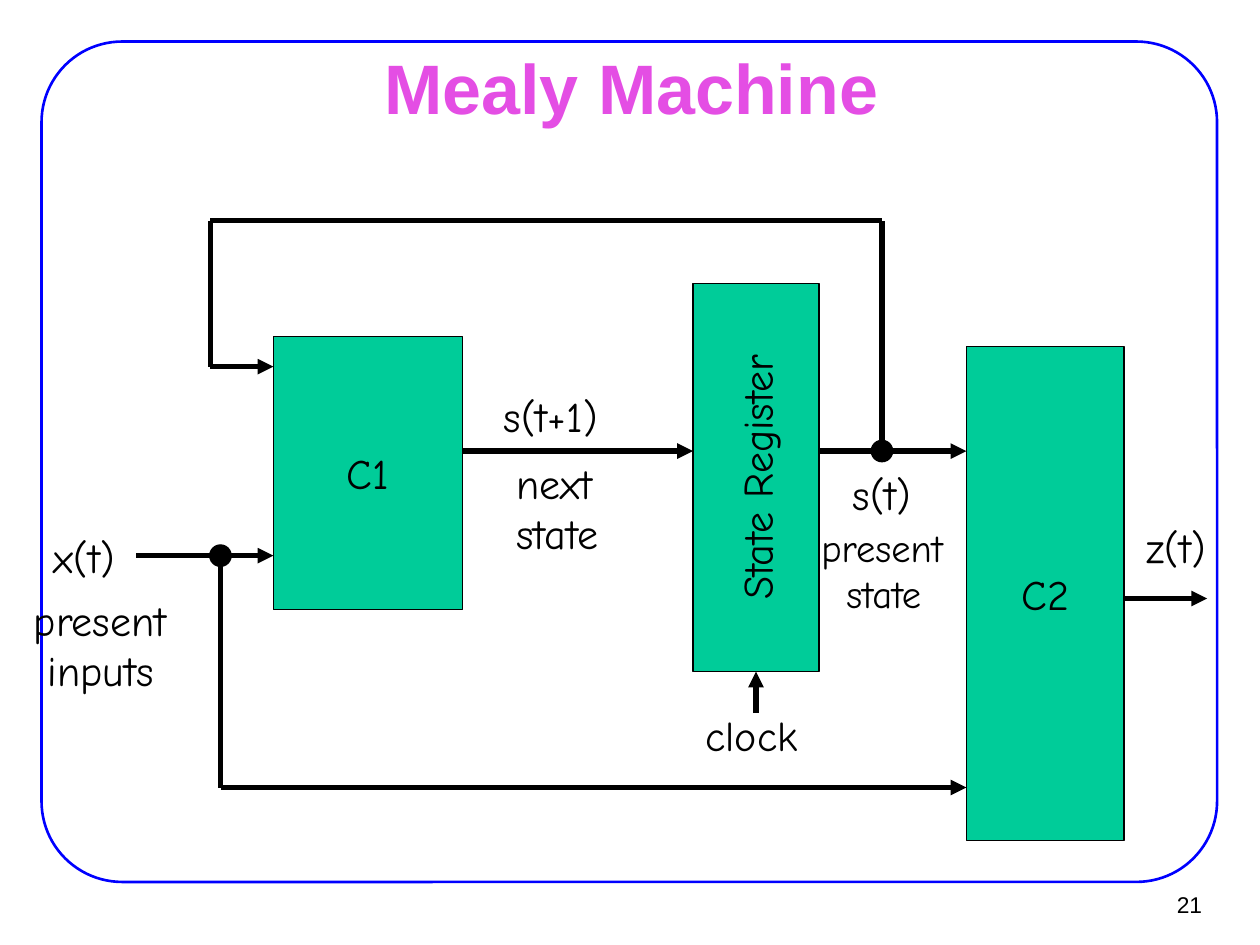
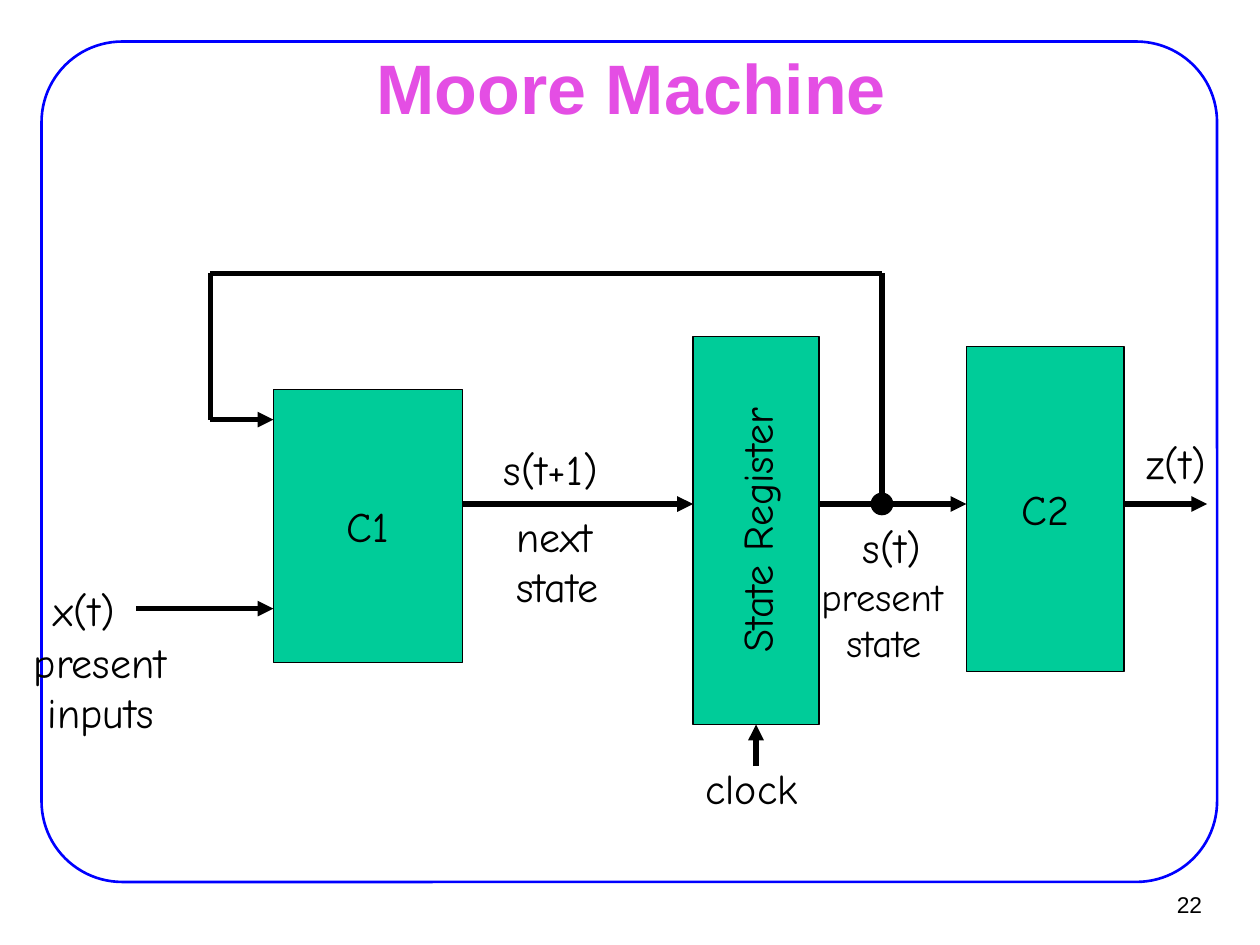
from pptx import Presentation
from pptx.dml.color import RGBColor
from pptx.enum.shapes import MSO_CONNECTOR, MSO_SHAPE
from pptx.enum.text import MSO_ANCHOR, MSO_AUTO_SIZE, PP_ALIGN
from pptx.oxml.ns import qn
from pptx.util import Inches, Pt
from lxml import etree

RECT, ROUND, OVAL = MSO_SHAPE.RECTANGLE, MSO_SHAPE.ROUNDED_RECTANGLE, MSO_SHAPE.OVAL
LEFT, MID, RIGHT = PP_ALIGN.LEFT, PP_ALIGN.CENTER, PP_ALIGN.RIGHT
GREEN, BLACK, BLUE, PINK = "00CC99", "000000", "0000FF", "E44EE4"
HAND, SANS = "Comic Neue", "Arial"

# What differs per slide: heights are absolute, axis is the state line.
# low is the second run of x(t) into C2, or None.
MACHINES = [
    dict(title="Mealy Machine", num="21", axis=3.58, c2=(2.75, 3.92), low=6.25,
         out=4.75, z=4.09, s=(6.67, 3.67), state=4.11, inputs=4.67),
    dict(title="Moore Machine", num="22", axis=4.0, c2=(2.75, 2.58), low=None,
         out=4.0, z=3.42, s=(6.75, 4.09), state=4.5, inputs=5.0),
]

# Shared columns, and offsets from the axis
C1_X, C1_W, REG_X, REG_W, C2_X, C2_W = 2.17, 1.5, 5.5, 1.0, 7.67, 1.25
C1_TOP, C1_H, REG_TOP, REG_H = -0.91, 2.17, -1.33, 3.08
IN_Y, BACK_Y, LOOP_Y = 0.83, -0.67, -1.83
IN_X, LOOP_X, FORK_X, TAP_X, OUT_X = 1.08, 1.67, 1.75, 7.0, 9.58
DOT = 0.17


def color(code):
    return RGBColor.from_string(code)


def write(shape, lines, size, font=HAND, tint=BLACK, bold=False, align=LEFT,
          wrap=False, indent=0):
    frame = shape.text_frame
    frame.text = "\n".join(lines)
    frame.word_wrap = wrap
    for para in frame.paragraphs:
        para.alignment = align
        face = para.runs[0].font
        face.size, face.name, face.bold = Pt(size), font, bold
        face.color.rgb = color(tint)
    if indent:
        props = frame.paragraphs[-1]._p.get_or_add_pPr()
        props.set("marL", str(Inches(indent)))
        props.set("indent", "0")
    return frame


def shape(slide, kind, box, fill=None, line=BLACK, width=0.75):
    item = slide.shapes.add_shape(kind, *map(Inches, box))
    item.shadow.inherit = False
    if fill:
        item.fill.solid()
        item.fill.fore_color.rgb = color(fill)
    else:
        item.fill.background()
    item.line.color.rgb = color(line)
    item.line.width = Pt(width)
    return item


def block(slide, name, box, turn=0):
    item = shape(slide, RECT, box, GREEN)
    item.rotation = turn
    write(item, [name], 24, align=MID).vertical_anchor = MSO_ANCHOR.MIDDLE


def label(slide, lines, box, size=24, indent=0):
    item = slide.shapes.add_textbox(*map(Inches, box))
    frame = write(item, lines, size, indent=indent)
    frame.auto_size = MSO_AUTO_SIZE.SHAPE_TO_FIT_TEXT


def wire(slide, points, arrow=True):
    """Straight lines through the points, with a head on the last one."""
    legs = list(zip(points, points[1:]))
    for start, end in legs:
        item = slide.shapes.add_connector(
            MSO_CONNECTOR.STRAIGHT, *map(Inches, start + end))
        item.line.color.rgb = color(BLACK)
        item.line.width = Pt(3)
        if arrow and (start, end) == legs[-1]:
            etree.SubElement(item.line._get_or_add_ln(), qn("a:tailEnd"),
                             type="triangle")
        etree.SubElement(item._element.spPr, qn("a:effectLst"))


def dot(slide, x, y):
    shape(slide, OVAL, (x - DOT / 2, y - DOT / 2, DOT, DOT), BLACK)


def base(slide, title, num):
    """Frame, slide number and title."""
    edge = shape(slide, ROUND, (0.33, 0.33, 9.33, 6.67), line=BLUE, width=1.5)
    edge.adjustments[0] = 0.096
    texts = [
        (num, (9.02, 6.99, 0.61, 0.37), (0.09, 0.04),
         dict(size=13, align=RIGHT)),
        (title, (0.76, 0.44, 8.5, 0.49), (0.11, 0.06),
         dict(size=40, tint=PINK, bold=True, align=MID, wrap=True)),
    ]
    for text, box, (side, end), look in texts:
        item = slide.shapes.add_textbox(*map(Inches, box))
        frame = write(item, [text], font=SANS, **look)
        frame.vertical_anchor = MSO_ANCHOR.MIDDLE
        frame.margin_left = frame.margin_right = Inches(side)
        frame.margin_top = frame.margin_bottom = Inches(end)


def draw(slide, m):
    axis, low = m["axis"], m["low"]
    feed, back, loop = axis + IN_Y, axis + BACK_Y, axis + LOOP_Y
    reg_top, reg_mid = axis + REG_TOP, REG_X + REG_W / 2
    reg_end = reg_top + REG_H

    # Blocks; the register is a wide box turned upright
    block(slide, "State Register",
          (reg_mid - REG_H / 2, reg_top + (REG_H - REG_W) / 2, REG_H, REG_W), 270)
    block(slide, "C1", (C1_X, axis + C1_TOP, C1_W, C1_H))
    block(slide, "C2", (C2_X, m["c2"][0], C2_W, m["c2"][1]))

    # Wires
    wire(slide, [(IN_X, feed), (C1_X, feed)])
    wire(slide, [(C1_X + C1_W, axis), (REG_X, axis)])
    wire(slide, [(reg_mid, reg_end + 0.33), (reg_mid, reg_end)])
    wire(slide, [(REG_X + REG_W, axis), (TAP_X, axis)], arrow=False)
    wire(slide, [(TAP_X, axis), (C2_X, axis)])
    wire(slide, [(TAP_X, axis), (TAP_X, loop), (LOOP_X, loop),
                 (LOOP_X, back), (C1_X, back)])
    wire(slide, [(C2_X + C2_W, m["out"]), (OUT_X, m["out"])])
    if low:
        wire(slide, [(FORK_X, feed), (FORK_X, low), (C2_X, low)])
        dot(slide, FORK_X, feed)
    dot(slide, TAP_X, axis)

    # Signal names
    label(slide, ["x(t)"], (0.33, axis + 0.59, 0.8, 0.57))
    label(slide, ["s(t+1)"], (3.9, axis - 0.53, 1.07, 0.57))
    label(slide, ["s(t)"], (*m["s"], 0.77, 0.57))
    label(slide, ["z(t)"], (9, m["z"], 0.78, 0.57))
    label(slide, ["clock"], (5.5, axis + 2, 0.99, 0.57))
    label(slide, ["present", "state"], (6.42, m["state"], 1.3, 0.95), 22, 0.2)
    label(slide, ["present", "inputs"], (0.17, m["inputs"], 1.4, 1.03), indent=0.11)
    label(slide, ["next", "state"], (4, axis, 1.03, 1.03))


deck = Presentation()
deck.slide_width, deck.slide_height = Inches(10), Inches(7.5)
for machine in MACHINES:
    page = deck.slides.add_slide(deck.slide_layouts[6])
    base(page, machine["title"], machine["num"])
    draw(page, machine)
deck.save("out.pptx")
